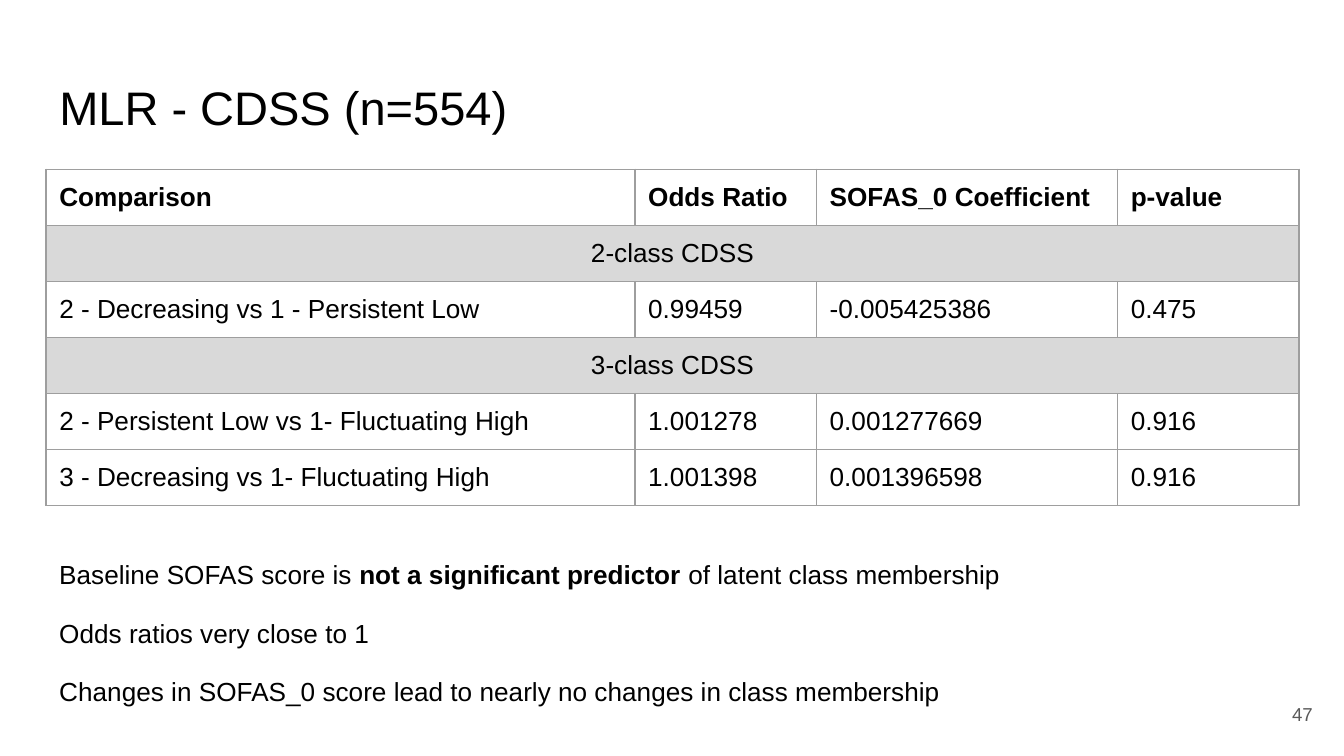
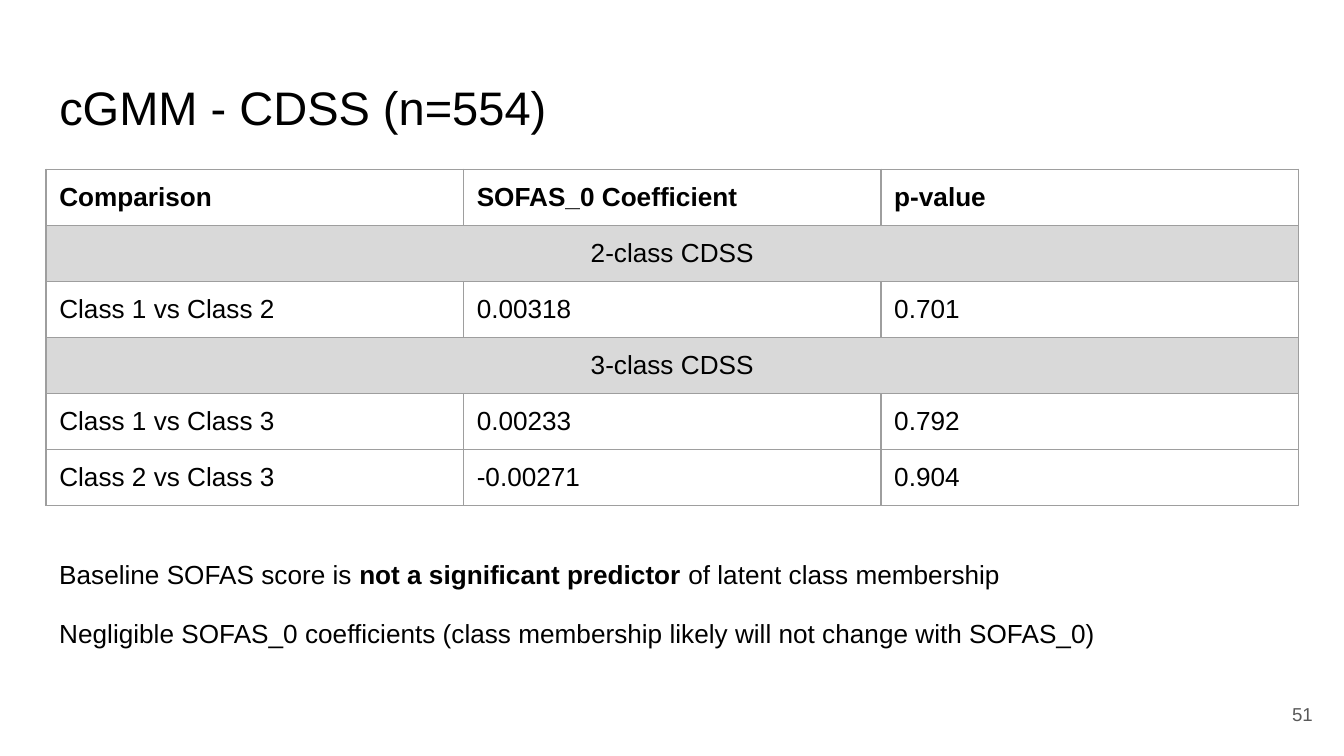
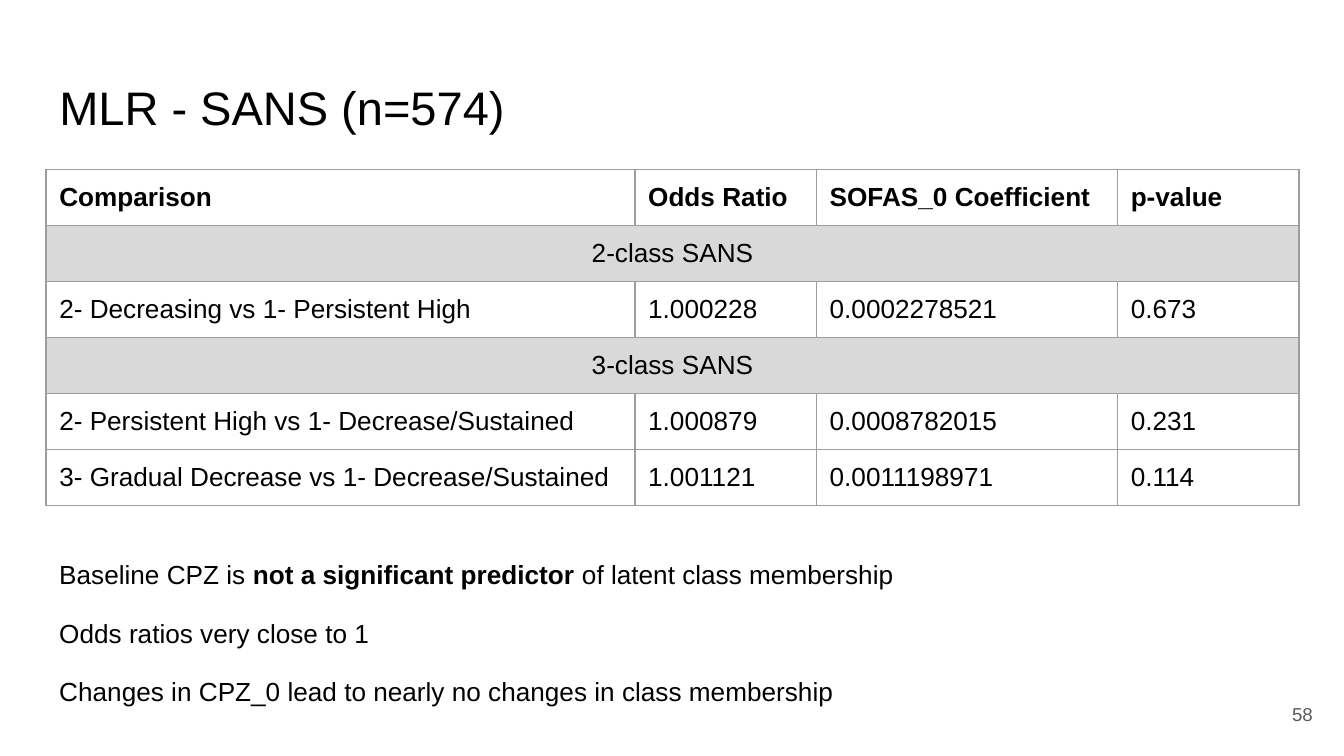
from lxml.etree import SubElement
from pptx import Presentation
from pptx.dml.color import RGBColor
from pptx.enum.text import MSO_ANCHOR as Anchor, MSO_AUTO_SIZE as AutoSize, PP_ALIGN as Align
from pptx.oxml.ns import qn
from pptx.util import Cm, Pt

# Content: a one-item row is a band across the table
MLR_HEADER = ("Comparison", "Odds Ratio", "SOFAS_0 Coefficient", "p-value")
MLR_WIDTHS = (11.13, 3.43, 5.69, 3.43)
KEY_FINDING = "not a significant predictor"
MEMBERSHIP = " of latent class membership"

SLIDES = [
    {
        "title": "MLR - CDSS (n=554)",
        "number": "47",
        "widths": MLR_WIDTHS,
        "rows": [
            MLR_HEADER,
            ("2-class CDSS",),
            ("2 - Decreasing vs 1 - Persistent Low", "0.99459", "-0.005425386", "0.475"),
            ("3-class CDSS",),
            ("2 - Persistent Low vs 1- Fluctuating High", "1.001278", "0.001277669", "0.916"),
            ("3 - Decreasing vs 1- Fluctuating High", "1.001398", "0.001396598", "0.916"),
        ],
        "predictor": "Baseline SOFAS score is ",
        "remarks": [
            "Odds ratios very close to 1",
            "Changes in SOFAS_0 score lead to nearly no changes in class membership",
        ],
    },
    {
        "title": "cGMM - CDSS (n=554)",
        "number": "51",
        "widths": (7.89, 7.89, 7.89),
        "rows": [
            ("Comparison", "SOFAS_0 Coefficient", "p-value"),
            ("2-class CDSS",),
            ("Class 1 vs Class 2", "0.00318", "0.701"),
            ("3-class CDSS",),
            ("Class 1 vs Class 3", "0.00233", "0.792"),
            ("Class 2 vs Class 3", "-0.00271", "0.904"),
        ],
        "predictor": "Baseline SOFAS score is ",
        "remarks": [
            "Negligible SOFAS_0 coefficients (class membership likely will not change with SOFAS_0)",
        ],
    },
    {
        "title": "MLR - SANS (n=574)",
        "number": "58",
        "widths": MLR_WIDTHS,
        "rows": [
            MLR_HEADER,
            ("2-class SANS",),
            ("2- Decreasing vs 1- Persistent High", "1.000228", "0.0002278521", "0.673"),
            ("3-class SANS",),
            ("2- Persistent High vs 1- Decrease/Sustained", "1.000879", "0.0008782015", "0.231"),
            ("3- Gradual Decrease vs 1- Decrease/Sustained", "1.001121", "0.0011198971", "0.114"),
        ],
        "predictor": "Baseline CPZ is ",
        "remarks": [
            "Odds ratios very close to 1",
            "Changes in CPZ_0 lead to nearly no changes in class membership",
        ],
    },
]

# Shared look
BLACK, GREY, BAND, BORDER = "000000", "595959", "D9D9D9", "9E9E9E"
LEFT, WIDTH = 0.87, 23.67
TITLE_BOX = (LEFT, 1.24, WIDTH, 1.6)
REMARKS_BOX = (LEFT, 10.22, WIDTH, 3.66)
NUMBER_BOX = (23.54, 12.95, 1.52, 1.09)
TABLE_TOP, ROW_HEIGHT = 3.2, 1.06
INSET = Cm(0.25)
MARGINS = {f"margin_{side}": INSET for side in ("left", "top", "right", "bottom")}
TITLE_FONT = {"name": "Arial", "size": Pt(25.2), "bold": False}
BODY_FONT = {"name": "Arial", "size": Pt(14), "bold": False}
BOLD_FONT = {**BODY_FONT, "bold": True}
NUMBER_FONT = {"name": "Arial", "size": Pt(10), "bold": False}


def color(hex_value):
    return RGBColor.from_string(hex_value)


def set_attributes(target, values):
    for name, value in values.items():
        setattr(target, name, value)


def add_run(paragraph, text, font, hex_value=BLACK):
    run = paragraph.add_run()
    run.text = text
    set_attributes(run.font, font)
    run.font.color.rgb = color(hex_value)


def format_frame(shape, anchor=Anchor.TOP):
    frame = shape.text_frame
    set_attributes(frame, {**MARGINS, "word_wrap": True, "auto_size": AutoSize.NONE,
                           "vertical_anchor": anchor})
    return frame


def add_text_frame(slide, box, anchor=Anchor.TOP):
    return format_frame(slide.shapes.add_textbox(*map(Cm, box)), anchor)


def add_title(slide, text):
    title = slide.shapes.title
    set_attributes(title, dict(zip(("left", "top", "width", "height"), map(Cm, TITLE_BOX))))
    paragraph = format_frame(title).paragraphs[0]
    paragraph.alignment = Align.LEFT
    add_run(paragraph, text, TITLE_FONT)


def format_cell(cell, fill):
    set_attributes(cell, MARGINS)
    properties = cell._tc.get_or_add_tcPr()
    for side in ("lnL", "lnR", "lnT", "lnB"):
        line = SubElement(properties, qn(f"a:{side}"), w=str(Pt(0.75)))
        solid = SubElement(line, qn("a:solidFill"))
        SubElement(solid, qn("a:srgbClr"), val=BORDER)
    if fill:
        cell.fill.solid()
        cell.fill.fore_color.rgb = color(fill)
    else:
        cell.fill.background()


def add_results_table(slide, rows, widths):
    box = (LEFT, TABLE_TOP, sum(widths), ROW_HEIGHT * len(rows))
    table = slide.shapes.add_table(len(rows), len(widths), *map(Cm, box)).table
    set_attributes(table, {"first_row": False, "horz_banding": False})
    for column, width in zip(table.columns, widths):
        column.width = Cm(width)

    for row_index, values in enumerate(rows):
        is_band = len(values) == 1
        cells = table.rows[row_index].cells
        for cell in cells:
            format_cell(cell, BAND if is_band else None)
        if is_band:
            table.cell(row_index, 0).merge(table.cell(row_index, len(widths) - 1))
        for column_index, value in enumerate(values):
            paragraph = table.cell(row_index, column_index).text_frame.paragraphs[0]
            paragraph.alignment = Align.CENTER if is_band else Align.LEFT
            add_run(paragraph, value, BODY_FONT if row_index else BOLD_FONT)


def add_remarks(slide, predictor, remarks):
    frame = add_text_frame(slide, REMARKS_BOX)
    paragraph = frame.paragraphs[0]
    paragraph.line_spacing = 1.15
    add_run(paragraph, predictor, BODY_FONT)
    add_run(paragraph, KEY_FINDING, BOLD_FONT)
    add_run(paragraph, MEMBERSHIP, BODY_FONT)
    for remark in remarks:
        paragraph = frame.add_paragraph()
        set_attributes(paragraph, {"line_spacing": 1.15, "space_before": Pt(12)})
        add_run(paragraph, remark, BODY_FONT)


def add_slide_number(slide, number):
    paragraph = add_text_frame(slide, NUMBER_BOX, Anchor.MIDDLE).paragraphs[0]
    paragraph.alignment = Align.RIGHT
    add_run(paragraph, number, NUMBER_FONT, GREY)


def main():
    presentation = Presentation()
    presentation.slide_width, presentation.slide_height = Cm(25.4), Cm(14.29)
    title_only = presentation.slide_layouts[5]
    for content in SLIDES:
        slide = presentation.slides.add_slide(title_only)
        add_title(slide, content["title"])
        add_remarks(slide, content["predictor"], content["remarks"])
        add_results_table(slide, content["rows"], content["widths"])
        add_slide_number(slide, content["number"])
    presentation.save("out.pptx")


if __name__ == "__main__":
    main()
